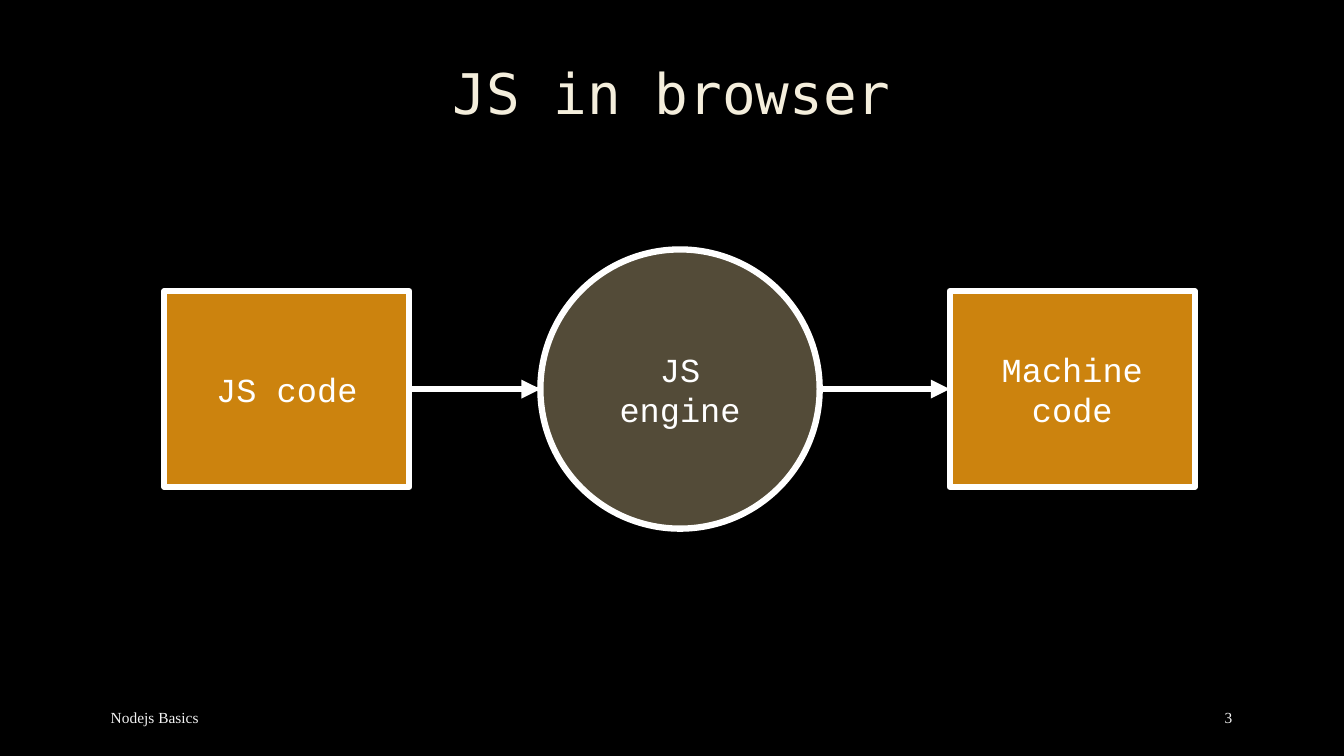
from dataclasses import dataclass

from pptx import Presentation
from pptx import util as u
from pptx.dml.color import RGBColor
from pptx.enum import shapes, text
from pptx.oxml.ns import qn
from lxml import etree

WHITE = "FFFFFF"
AMBER = "CC830E"
OLIVE = "534B38"
MIDDLE_Y = 3.86
OUTLINE_PT = 4.5


@dataclass(frozen=True)
class Label:
    words: str
    left: float
    top: float
    width: float
    height: float
    font: str
    size: float
    color: str
    align: text.PP_ALIGN
    line_spacing: float = 1.0


@dataclass(frozen=True)
class Stage:
    """One step of the flow, centred on MIDDLE_Y."""
    words: str
    left: float
    width: float
    height: float
    outline: shapes.MSO_SHAPE
    fill: str

    @property
    def right(self) -> float:
        return self.left + self.width


LABELS = [
    Label("JS in browser", 1, 0.27, 11.32, 1.38, "DejaVu Sans Mono", 40, "F4EEDC",
          text.PP_ALIGN.CENTER, 0.9),
    Label("Nodejs Basics", 1, 6.92, 7.3, 0.4, "Times New Roman", 11, "F2F2F2",
          text.PP_ALIGN.LEFT),
    Label("3", 11.5, 6.92, 0.82, 0.4, "Times New Roman", 11, "F2F2F2",
          text.PP_ALIGN.RIGHT),
]

STAGES = [
    Stage("JS code", 1.63, 2.43, 1.94, shapes.MSO_SHAPE.RECTANGLE, AMBER),
    Stage("JS engine", 5.36, 2.77, 2.77, shapes.MSO_SHAPE.OVAL, OLIVE),
    Stage("Machine code", 9.42, 2.43, 1.94, shapes.MSO_SHAPE.RECTANGLE, AMBER),
]


def rgb(color: str) -> RGBColor:
    return RGBColor.from_string(color)


def write(frame, words: str, font: str, size: float, color: str,
          align: text.PP_ALIGN, line_spacing: float = 1.0) -> None:
    frame.word_wrap = True
    frame.vertical_anchor = text.MSO_ANCHOR.MIDDLE
    paragraph = frame.paragraphs[0]
    paragraph.alignment = align
    paragraph.line_spacing = line_spacing
    run = paragraph.add_run()
    run.text = words
    run.font.name = font
    run.font.size = u.Pt(size)
    run.font.color.rgb = rgb(color)


def draw_outline(line) -> None:
    line.color.rgb = rgb(WHITE)
    line.width = u.Pt(OUTLINE_PT)


def add_label(slide, label: Label) -> None:
    box = slide.shapes.add_textbox(u.Inches(label.left), u.Inches(label.top),
                                   u.Inches(label.width), u.Inches(label.height))
    write(box.text_frame, label.words, label.font, label.size, label.color,
          label.align, label.line_spacing)


def add_stage(slide, stage: Stage) -> None:
    body = slide.shapes.add_shape(
        stage.outline, u.Inches(stage.left), u.Inches(MIDDLE_Y - stage.height / 2),
        u.Inches(stage.width), u.Inches(stage.height))
    body.shadow.inherit = False
    body.fill.solid()
    body.fill.fore_color.rgb = rgb(stage.fill)
    draw_outline(body.line)
    write(body.text_frame, stage.words, "Courier New", 24, WHITE, text.PP_ALIGN.CENTER)


def add_arrow(slide, source: Stage, target: Stage) -> None:
    arrow = slide.shapes.add_connector(
        shapes.MSO_CONNECTOR.STRAIGHT, u.Inches(source.right), u.Inches(MIDDLE_Y),
        u.Inches(target.left), u.Inches(MIDDLE_Y))
    draw_outline(arrow.line)
    properties = arrow.element.spPr
    etree.SubElement(properties.find(qn("a:ln")), qn("a:tailEnd"), type="triangle")
    etree.SubElement(properties, qn("a:effectLst"))


def main() -> None:
    deck = Presentation()
    deck.slide_width, deck.slide_height = u.Inches(13.33), u.Inches(7.5)
    slide = deck.slides.add_slide(deck.slide_layouts[6])
    slide.background.fill.solid()
    slide.background.fill.fore_color.rgb = rgb("000000")

    for label in LABELS:
        add_label(slide, label)
    for stage in STAGES:
        add_stage(slide, stage)
    for source, target in zip(STAGES, STAGES[1:]):
        add_arrow(slide, source, target)

    deck.save("out.pptx")


if __name__ == "__main__":
    main()
